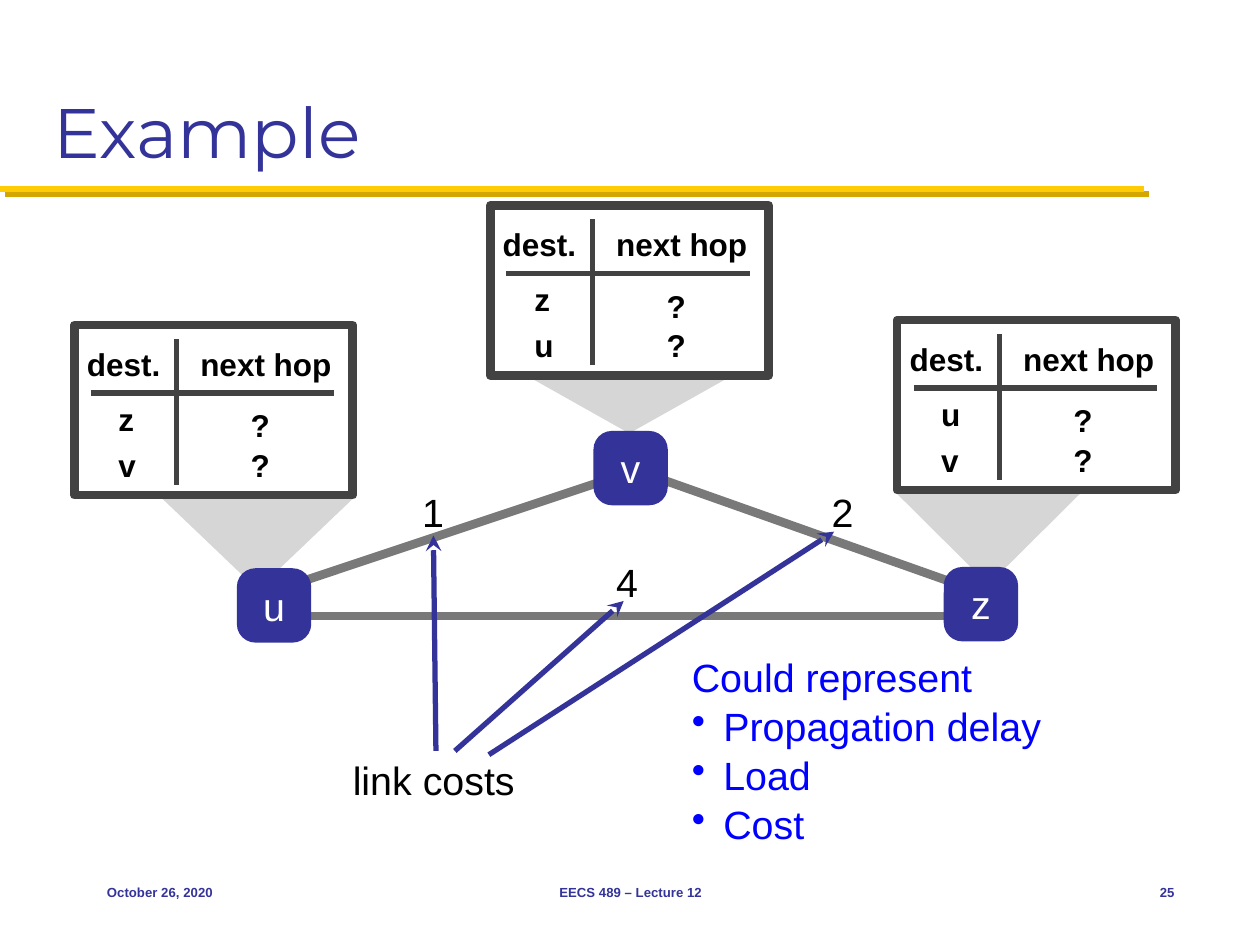
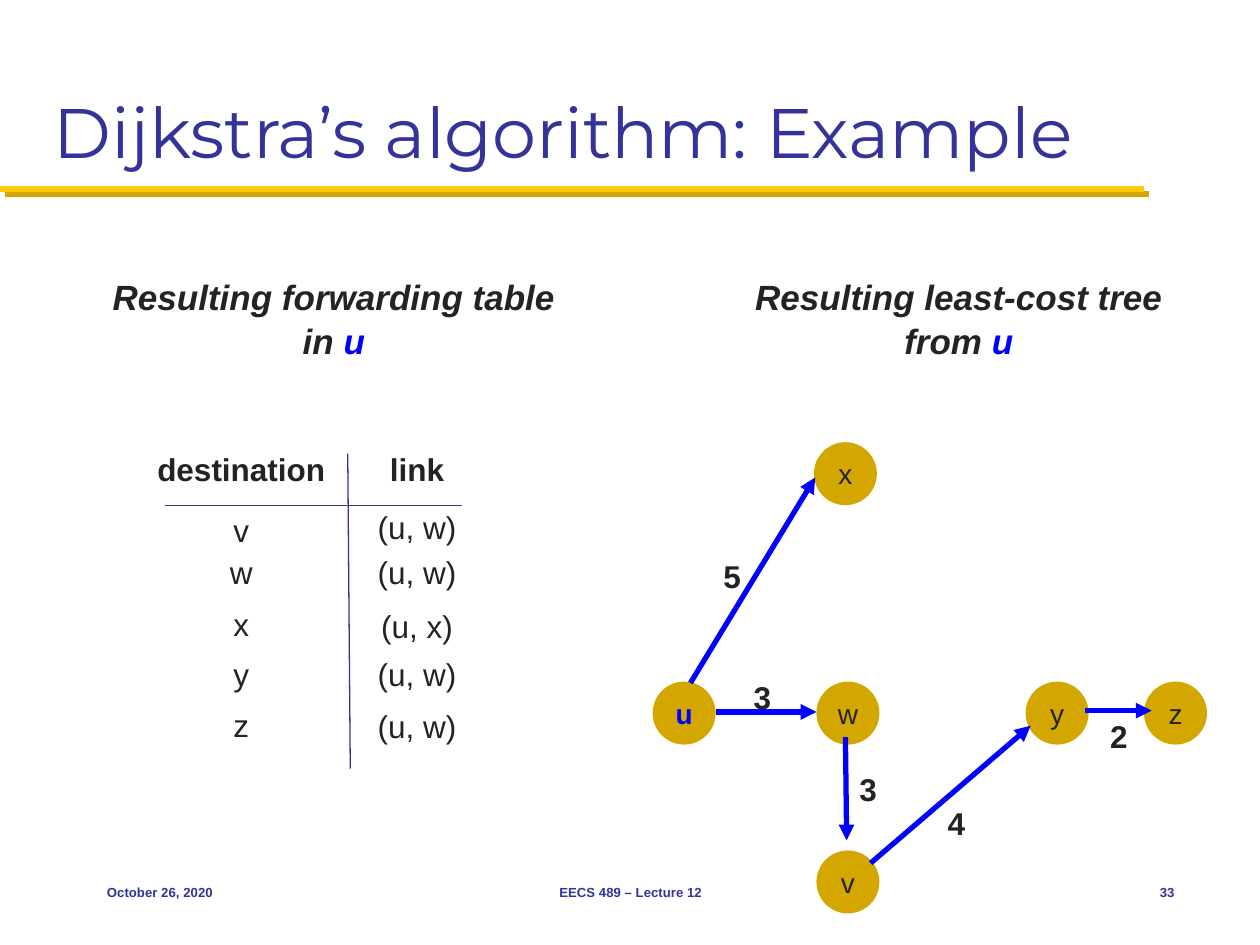
import pptx
import pptx.util
import pptx.dml.color
import pptx.enum.shapes
import pptx.enum.text
import pptx.oxml
import pptx.oxml.ns

Pt = pptx.util.Pt
SHAPE = pptx.enum.shapes.MSO_SHAPE
ALIGN = pptx.enum.text.PP_ALIGN
ANCHOR = pptx.enum.text.MSO_ANCHOR

# The slide is a grid of 100 columns by 75 rows of square cells
WIDE, HIGH = pptx.util.Inches(10), pptx.util.Inches(7.5)
CELL = WIDE // 100

NAVY, BLUE, GOLD, SUN = "333399", "0000FF", "D3A600", "FFCB05"
INK, DARK, WHITE = "232323", "000000", "FFFFFF"
FRAME, LINK, BEAM = "424242", "797979", "D6D6D6"

BASE = dict(name="Arial", color=DARK, bold=False)
TITLE = BASE | dict(name="Montserrat", size=Pt(40), color=NAVY)
FOOT = BASE | dict(size=Pt(7.5), color=NAVY, bold=True)
CARD = BASE | dict(size=Pt(18), bold=True)
COST = BASE | dict(size=Pt(22.5))
BODY = BASE | dict(size=Pt(18), color=INK)
HEAD = BODY | dict(size=Pt(20), bold=True, italic=True)
TIGHT, LOOSE = (0.4, 0.4), (1, 0.5)


def hue(code):
    return pptx.dml.color.RGBColor.from_string(code)


def grid(*spots):
    return [round(spot * CELL) for spot in spots]


def shift(box, x, y, *size):
    return (box[0] + x, box[1] + y, *size)


def make(tag, **values):
    part = pptx.oxml.parse_xml(f"<a:{tag} {pptx.oxml.ns.nsdecls('a')}/>")
    for key, value in values.items():
        part.set(key, str(value))
    return part


def style(font, look):
    for key, value in look.items():
        if key == "color":
            font.color.rgb = hue(value)
        else:
            setattr(font, key, value)


def write(shape, paras, look, align=ALIGN.LEFT, anchor=ANCHOR.MIDDLE,
          pad=TIGHT, wrap=True, bullet=False):
    """Each paragraph is a string or a list of (words, changes) runs."""
    frame = shape.text_frame
    side, top = grid(*pad)
    form = dict(word_wrap=wrap, vertical_anchor=anchor, margin_left=side,
                margin_right=side, margin_top=top, margin_bottom=top)
    for key, value in form.items():
        setattr(frame, key, value)
    for i, runs in enumerate(paras):
        para = frame.paragraphs[0] if i == 0 else frame.add_paragraph()
        para.alignment = align
        if i:
            para.space_before = Pt(1)
            if bullet:
                props = para._p.get_or_add_pPr()
                props.set("marL", str(grid(2.5)[0]))
                props.set("indent", str(grid(-2.5)[0]))
                props.append(make("buChar", char="•"))
        for words, change in [(runs, {})] if isinstance(runs, str) else runs:
            run = para.add_run()
            run.text = words
            style(run.font, look | change)


def text(slide, box, paras, look, **form):
    paras = [paras] if isinstance(paras, str) else paras
    write(slide.shapes.add_textbox(*grid(*box)), paras, look, **form)


def line(slide, box, ends, color, width, tip=None, shade=None):
    x, y = box[:2]
    a, b, c, d = ends
    rule = slide.shapes.add_connector(
        pptx.enum.shapes.MSO_CONNECTOR.STRAIGHT,
        *grid(x + a, y + b, x + c, y + d))
    rule.line.color.rgb = hue(color)
    rule.line.width = Pt(width)
    if tip:
        rule.line._get_or_add_ln().append(make("tailEnd", type=tip))
    effects = make("effectLst")
    if shade:
        drop = make("outerShdw", blurRad=0, dist=int(Pt(4.2)), dir=2700000,
                    algn="ctr", rotWithShape=0)
        drop.append(make("srgbClr", val=shade))
        effects.append(drop)
    rule._element.spPr.append(effects)


def plain(shape, fill):
    shape.shadow.inherit = False
    shape.fill.solid()
    shape.fill.fore_color.rgb = hue(fill)
    shape.line.fill.background()


def node(slide, kind, box, word, fill, look):
    shape = slide.shapes.add_shape(kind, *grid(*box))
    plain(shape, fill)
    if kind == SHAPE.ROUNDED_RECTANGLE:
        shape.adjustments[0] = 0.25
    write(shape, [word], look, align=ALIGN.CENTER, pad=(0, 0), wrap=False)


def base(deck, title, page):
    """Blank slide with title, rule and footer."""
    slide = deck.slides.add_slide(deck.slide_layouts[6])
    line(slide, (0, 15), (0, 0, 90.8, 0), SUN, 3.5, shade=GOLD)
    text(slide, (3.3, 1.7, 93.3, 12.5), title, TITLE,
         anchor=ANCHOR.BOTTOM, pad=LOOSE)
    for x, wide, words, align in (
            (7.5, 20.8, "October 26, 2020", ALIGN.LEFT),
            (34.2, 31.7, "EECS 489 – Lecture 12", ALIGN.CENTER),
            (87.5, 6.7, page, ALIGN.RIGHT)):
        text(slide, (x, 68.3, wide, 5), words, FOOT, align=align, pad=LOOSE)
    return slide


def card(slide, box, hosts, beam):
    """Framed routing table with a beam narrowing to its node."""
    left, top, wide, drop = beam
    x, y = grid(*shift(box, left, top))
    path = slide.shapes.build_freeform(x, y)
    path.add_line_segments([(x + grid(wide)[0], y),
                            (x + grid(wide / 2)[0], y + grid(drop)[0])])
    plain(path.convert_to_shape(), BEAM)

    frame = slide.shapes.add_shape(SHAPE.RECTANGLE, *grid(*box))
    frame.shadow.inherit = False
    frame.fill.background()
    frame.line.color.rgb = hue(FRAME)
    frame.line.width = Pt(5)

    text(slide, shift(box, 0.6, 0.8, 15.6, 4.6), "dest.", CARD)
    text(slide, shift(box, 9.6, 0.75, 12.3, 4.6), "next hop", CARD)
    for ends in ((1.3, 5.4, 20.6, 5.4), (8.1, 12.7, 8.1, 1.1)):
        line(slide, box, ends, FRAME, 3)
    for host, near, far in zip(hosts, (4.9, 8.55), (5.4, 8.55)):
        text(slide, shift(box, 3.1, near, 4.9, 5.1), host, CARD)
        text(slide, shift(box, 13.6, far, 2.6, 5.1), "?", CARD)


def graph(slide, box):
    """Three routers, their links and the link costs."""
    for word, x, y in ("4", 29.7, 9.7), ("1", 14.3, 4.1), ("2", 46.8, 4.1):
        text(slide, shift(box, x, y, 2.9, 4.6), word, COST)
    for ends in ((29.9, 3.7, 4.7, 12.1), (5.4, 14.7, 58.6, 14.7),
                 (33.3, 3.7, 58.7, 12.7)):
        line(slide, box, ends, LINK, 5)
    for word, x, y in ("v", 28.3, 0), ("u", 0, 10.9), ("z", 56.1, 10.8):
        node(slide, SHAPE.ROUNDED_RECTANGLE, shift(box, x, y, 5.9, 5.9),
             word, NAVY, COST | dict(color=WHITE))
    text(slide, shift(box, 8.8, 25.4, 15.3, 4.6), "link costs", COST)
    for ends in ((15.8, 25.4, 15.6, 8.3), (17.3, 25.4, 30.7, 13.5),
                 (20, 25.7, 47.4, 8)):
        line(slide, box, ends, NAVY, 3, tip="stealth")


def tree(slide, box):
    """Least-cost tree with costs beside its arrows."""
    for word, x, y in (("3", 7, 18.2), ("5", 4.6, 8.6), ("3", 15.4, 25.5),
                       ("4", 22.4, 28.2), ("2", 35.3, 21.3)):
        text(slide, shift(box, x, y, 3.4, 4), word, BODY | dict(bold=True),
             align=ALIGN.CENTER, pad=LOOSE, wrap=False)
    root = dict(color=BLUE, bold=True)
    for word, x, y in (("x", 12.8, 0), ("u", 0, 19), ("z", 39, 19),
                       ("v", 13, 32.4), ("y", 29.6, 19), ("w", 13, 19)):
        look = BODY | dict(size=Pt(16)) | (root if word == "u" else {})
        node(slide, SHAPE.OVAL, shift(box, x, y, 5, 5), word, GOLD, look)
    for ends in ((34.3, 21.3, 39.6, 21.3), (17.3, 33.4, 30, 22.5),
                 (15.3, 23.4, 15.4, 31.6), (3, 19.1, 12.9, 2.8),
                 (5, 21.4, 13, 21.4)):
        line(slide, box, ends, BLUE, 3, tip="triangle")


def routes(slide, box):
    """Forwarding table: ruled columns centred on two axes."""
    for ends in ((16.2, 0.8, 16.4, 25.8), (1.7, 4.9, 25.3, 4.9)):
        line(slide, box, ends, NAVY, 0.75)
    rows = (("destination", 0, "link", 0), ("v", 4.9, "(u, w)", 4.6),
            ("w", 8.2, "(u, w)", 8.2), ("x", 12.3, "(u, x)", 12.5),
            ("y", 16.3, "(u, w)", 16.3), ("z", 20.3, "(u, w)", 20.4))
    for i, (host, near, hop, far) in enumerate(rows):
        for word, x, y, wide in (host, 0, near, 15.5), (hop, 17.2, far, 9):
            text(slide, shift(box, x, y, wide, 4), word,
                 BODY | dict(bold=i == 0), align=ALIGN.CENTER, pad=LOOSE,
                 wrap=False)


def hops(deck):
    slide = base(deck, "Example", "25")
    for x, y, hosts, beam in (
            (5.9, 25.8, "zv", (6.9, 13.7, 15.3, 7.3)),
            (71.2, 25.4, "uv", (0, 13.8, 14.5, 7.2)),
            (38.9, 16.3, "zu", (3.4, 13.8, 15.3, 4.3))):
        card(slide, (x, y, 22.1, 13.5), hosts, beam)
    graph(slide, (18.8, 34.2, 62, 30))
    text(slide, (54.5, 51.6, 34.9, 15.9),
         ["Could represent", "Propagation delay", "Load", "Cost"],
         COST | dict(color=BLUE), bullet=True)


def result(deck):
    slide = base(deck, "Dijkstra’s algorithm: Example", "33")
    for x, wide, first, lead in (
            (58.8, 34.6, "Resulting least-cost tree", "from "),
            (7.8, 37.4, "Resulting forwarding table", "in ")):
        text(slide, (x, 21.4, wide, 7.7),
             [first, [(lead, {}), ("u", dict(color=BLUE))]], HEAD,
             align=ALIGN.CENTER, pad=LOOSE, wrap=False)
    tree(slide, (51.8, 35.1, 44, 37.4))
    routes(slide, (11.4, 35.2, 26, 26))


def main():
    deck = pptx.Presentation()
    deck.slide_width, deck.slide_height = WIDE, HIGH
    hops(deck)
    result(deck)
    deck.save("out.pptx")


if __name__ == "__main__":
    main()
